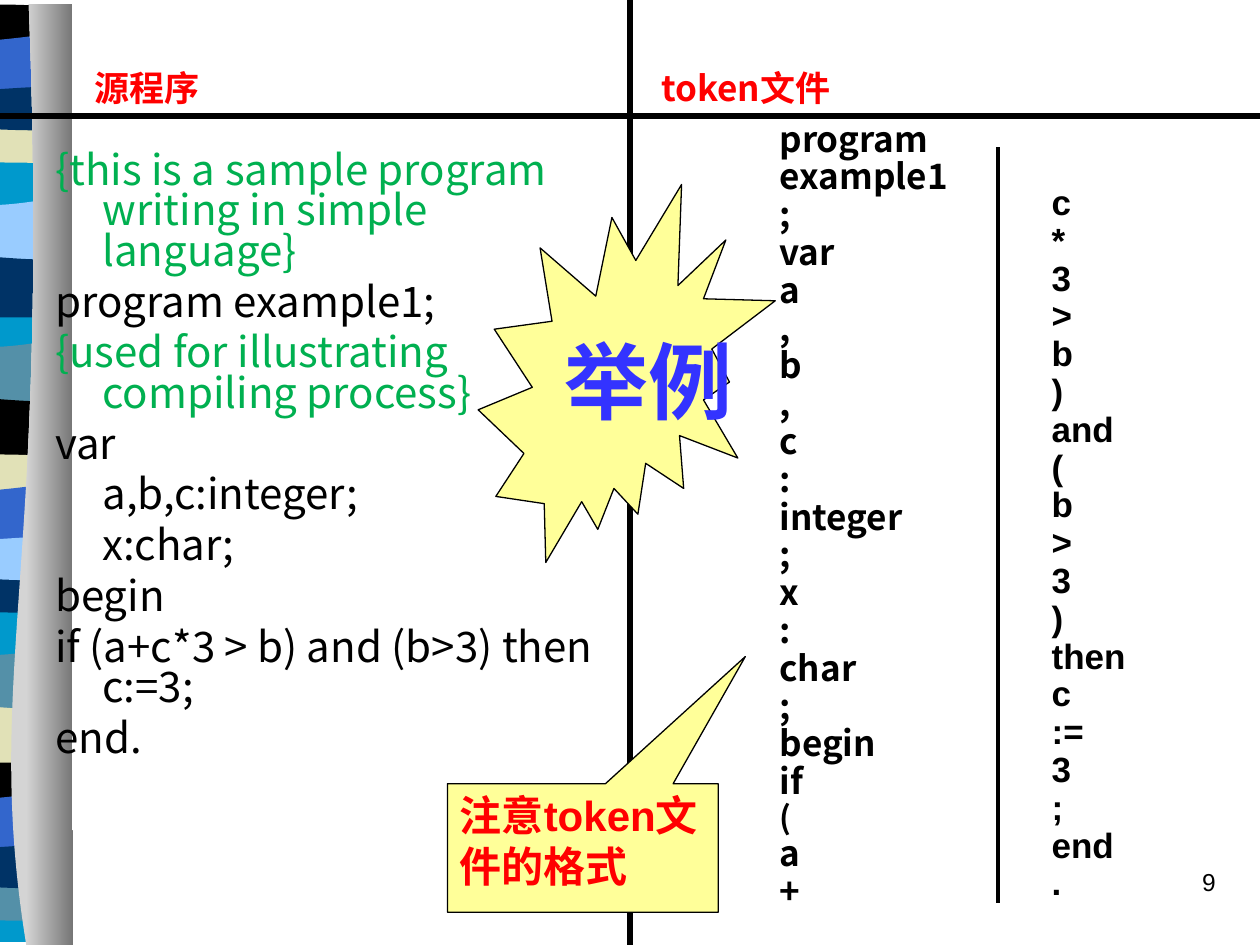
from dataclasses import dataclass
from typing import NamedTuple

from lxml.etree import Element, SubElement
from pptx import Presentation
from pptx.dml.color import RGBColor
from pptx.enum.shapes import MSO_CONNECTOR, MSO_SHAPE
from pptx.enum.text import MSO_ANCHOR, MSO_AUTO_SIZE, PP_ALIGN
from pptx.oxml.ns import qn
from pptx.util import Cm, Pt

BLACK, RED, GREEN, BLUE, YELLOW = "000000", "FF0000", "00B050", "3333FF", "FFFF99"
CJK, LATIN = "Noto Sans CJK SC", "Arial"
BAND_LEFT = -1.43
FIRST_BORDER_ID = 100


class Box(NamedTuple):
    left: float
    top: float
    width: float
    height: float


class Rule(NamedTuple):
    x1: float
    y1: float
    x2: float
    y2: float
    weight: float


@dataclass
class Style:
    size: float
    color: str = BLACK
    font: str = CJK
    bold: bool = False
    leading: float | None = None
    before: float = 0
    hanging: float = 0
    align: PP_ALIGN = PP_ALIGN.LEFT


@dataclass
class Ribbon:
    """Stack of bands that share one origin; colours are keyed by band outline."""
    top: float
    colors: dict[str, str]


# Outlines in cm: a pair is a corner, six numbers are a cubic curve.
BAND_OUTLINES = {
    "wave": [(0, 1.4), (0, .2), (1.93, .41, 2.31, 0, 2.79, .2), (2.79, 1.4)],
    "swell": [(0, 1.4), (0, .2), (.46, 0, 1.93, .33, 2.79, .2), (2.79, 1.4)],
    "lens": [(0, .71), (0, .1), (.46, 0, 2.31, 0, 2.79, .1), (2.79, .71),
             (2.62, .84, 2.18, .81, 1.73, .81), (1.24, .81, .36, .74, 0, .71)],
    "arch": [(0, .97), (0, .13), (.46, 0, 2.31, 0, 2.79, .13), (2.79, .97),
             (1.07, .84, .58, .97, 0, .97)],
    "dip": [(0, 1.19), (0, 0), (.43, .15, .61, .15, 1.07, .15),
            (1.55, .15, 2.36, 0, 2.79, 0), (2.79, 1.19)],
    "ripple": [(0, .89), (0, .13), (.18, 0, .61, .13, 1.07, .13),
               (1.55, .13, 2.51, 0, 2.79, .13), (2.79, .89),
               (2.39, 1.02, .89, .89, .43, .89)],
}
BAND_OFFSETS = {"wave": 0, "swell": 1.12, "lens": 4.8, "arch": 2.39, "dip": 3, "ripple": 4.01}
RIBBONS = [
    Ribbon(12.95, {"wave": "5490A8", "swell": "E1E1B7", "lens": "5490A8",
                   "arch": BLACK, "dip": "3366CC", "ripple": "003366"}),
    Ribbon(6.74, {"wave": "5490A8", "swell": BLACK, "lens": "003366",
                  "arch": "E1E1B7", "dip": "3366CC", "ripple": "99CCFF"}),
    Ribbon(3.88, {"wave": "99CCFF", "swell": "003366"}),
    Ribbon(-2.33, {"lens": "E1E1B7", "arch": BLACK, "dip": "3366CC", "ripple": "003366"}),
]
RIBBON_BASE = [(0, 18.9), (0, 0), (2.79, 0), (2.79, 18.9)]
PAGE_EDGE = [(.53, 19.05), (-.36, 13.56, 1.04, 11.56, .58, .08), (1.45, .08), (1.47, 19.05)]

RULES = [Rule(0, 2.34, 25.4, 2.34, 3), Rule(12.7, 0, 12.7, 19.05, 3),
         Rule(20.12, 2.97, 20.12, 18.21, 2.25)]

SOURCE_PROGRAM = [
    "{this is a sample program writing in simple language}",
    "program example1;",
    "{used for illustrating compiling process}",
    "var", "\ta,b,c:integer;", "\tx:char;", "begin",
    "if (a+c*3 > b) and (b>3) then c:=3;", "end.",
]
FIRST_TOKENS = "program example1 ; var a , b , c : integer ; x : char ; begin if ( a +".split()
LAST_TOKENS = "c * 3 > b ) and ( b > 3 ) then c := 3 ; end .".split()


def rgb(color: str) -> RGBColor:
    return RGBColor.from_string(color)


def bend(segment, step: tuple) -> None:
    """Turn a straight segment into the cubic curve given by six numbers."""
    end = segment[0]
    segment.tag = qn("a:cubicBezTo")
    for i, (x, y) in enumerate((step[:2], step[2:4])):
        control = Element(qn("a:pt"), x=str(int(end.get("x")) + Cm(x - step[4])),
                          y=str(int(end.get("y")) + Cm(y - step[5])))
        segment.insert(i, control)


def draw_outline(shapes, outline: list[tuple], left: float, top: float, color: str):
    points = [(Cm(left + step[-2]), Cm(top + step[-1])) for step in outline]
    builder = shapes.build_freeform(*points[0], scale=1.0)
    builder.add_line_segments(points[1:], close=True)
    area = builder.convert_to_shape()
    segments = list(area.element.iter(qn("a:lnTo")))
    for segment, step in zip(segments, outline[1:]):
        if len(step) == 6:
            bend(segment, step)
    area.shadow.inherit = False
    area.line.fill.background()
    area.fill.solid()
    area.fill.fore_color.rgb = rgb(color)
    return area


def draw_ribbon_border(shapes, master) -> None:
    """Draw the left border and hand it over to the slide master."""
    border = [draw_outline(shapes, RIBBON_BASE, BAND_LEFT, .1, "0099CC")]
    for ribbon in RIBBONS:
        for band, color in ribbon.colors.items():
            border.append(draw_outline(shapes, BAND_OUTLINES[band], BAND_LEFT,
                                       ribbon.top + BAND_OFFSETS[band], color))
    edge = draw_outline(shapes, PAGE_EDGE, 0, 0, "FFFFFF")
    edge.fill.gradient()
    edge.fill.gradient_angle = 0
    for stop, color in zip(edge.fill.gradient_stops, ("D4D4D4", "767676")):
        stop.color.rgb = rgb(color)
    master_tree = master.placeholders[0].element.getparent()
    for number, part in enumerate(border + [edge], FIRST_BORDER_ID):
        part.element.nvSpPr.cNvPr.set("id", str(number))
        master_tree.append(part.element)


def draw_rule(shapes, rule: Rule) -> None:
    line = shapes.add_connector(MSO_CONNECTOR.STRAIGHT, Cm(rule.x1), Cm(rule.y1),
                                Cm(rule.x2), Cm(rule.y2))
    line.line.color.rgb = rgb(BLACK)
    line.line.width = Pt(rule.weight)
    SubElement(line._element.spPr, qn("a:effectLst"))


def write(frame, lines: list[str], style: Style, wrap: bool = True,
          anchor: MSO_ANCHOR = MSO_ANCHOR.TOP) -> None:
    frame.auto_size = MSO_AUTO_SIZE.NONE
    frame.word_wrap = wrap
    frame.vertical_anchor = anchor
    for i, line in enumerate(lines):
        paragraph = frame.paragraphs[0] if i == 0 else frame.add_paragraph()
        paragraph.text = line
        paragraph.alignment = style.align
        paragraph.space_before = Pt(style.before if i else 0)
        if style.leading:
            paragraph.line_spacing = Pt(style.leading)
        properties = paragraph._p.get_or_add_pPr()
        properties.set("marL", str(Cm(style.hanging)))
        properties.set("indent", str(-Cm(style.hanging)))
        SubElement(properties, qn("a:buNone"))
        font = paragraph.font
        font.name, font.size, font.bold = style.font, Pt(style.size), style.bold
        font.color.rgb = rgb(style.color)


def place(placeholder, box: Box):
    """Move a placeholder and return its text frame."""
    placeholder.left, placeholder.top, placeholder.width, placeholder.height = map(Cm, box)
    return placeholder.text_frame


def add_text(shapes, box: Box):
    return shapes.add_textbox(*map(Cm, box)).text_frame


def add_note(shapes, kind: MSO_SHAPE, box: Box):
    note = shapes.add_shape(kind, *map(Cm, box))
    note.shadow.inherit = False
    note.fill.solid()
    note.fill.fore_color.rgb = rgb(YELLOW)
    note.line.color.rgb = rgb(BLACK)
    note.line.width = Pt(.75)
    return note


def main() -> None:
    deck = Presentation()
    deck.slide_width, deck.slide_height = Cm(25.4), Cm(19.05)
    slide = deck.slides.add_slide(deck.slide_layouts[3])
    shapes = slide.shapes
    heading, program, tokens = list(slide.placeholders)
    draw_ribbon_border(shapes, deck.slide_master)

    program_text = place(program, Box(.86, 2.97, 11.63, 13.77))
    write(program_text, SOURCE_PROGRAM, Style(24, leading=23.05, before=6, hanging=.95))
    for paragraph in program_text.paragraphs:
        if paragraph.text.startswith("{"):
            paragraph.font.color.rgb = rgb(GREEN)

    token_text = place(tokens, Box(15.46, 2.32, 4.88, 16.31))
    write(token_text, FIRST_TOKENS, Style(20, bold=True, leading=21.6, hanging=.95))
    bracket = token_text.paragraphs[FIRST_TOKENS.index("(")]
    bracket.font.size, bracket.line_spacing = Pt(18), Pt(19.4)
    write(add_text(shapes, Box(20.95, 3.6, 4.24, 14.73)), LAST_TOKENS,
          Style(20, font=LATIN, bold=True, leading=21.6))

    heading_style = Style(20, RED, bold=True)
    write(place(heading, Box(1.65, 1.19, 10.8, 1.14)), ["源程序"],
          heading_style, anchor=MSO_ANCHOR.MIDDLE)
    write(add_text(shapes, Box(13.08, 1.19, 11.43, 1.14)), ["token文件"],
          heading_style, anchor=MSO_ANCHOR.MIDDLE)
    for rule in RULES:
        draw_rule(shapes, rule)

    callout = add_note(shapes, MSO_SHAPE.RECTANGULAR_CALLOUT, Box(9.02, 15.8, 5.46, 2.59))
    callout.adjustments[0], callout.adjustments[1] = .6, -1.49
    write(callout.text_frame, ["注意token文件的格式"],
          Style(24, RED, LATIN, bold=True, leading=28.8))
    example = add_note(shapes, MSO_SHAPE.EXPLOSION2, Box(9.64, 3.72, 5.99, 7.62))
    write(example.text_frame, ["举例"], Style(48, BLUE, LATIN, bold=True),
          wrap=False, anchor=MSO_ANCHOR.MIDDLE)

    write(add_text(shapes, Box(19.48, 17.35, 5.28, 1.27)), ["9"],
          Style(14, font=LATIN, align=PP_ALIGN.RIGHT))
    deck.save("out.pptx")


if __name__ == "__main__":
    main()
